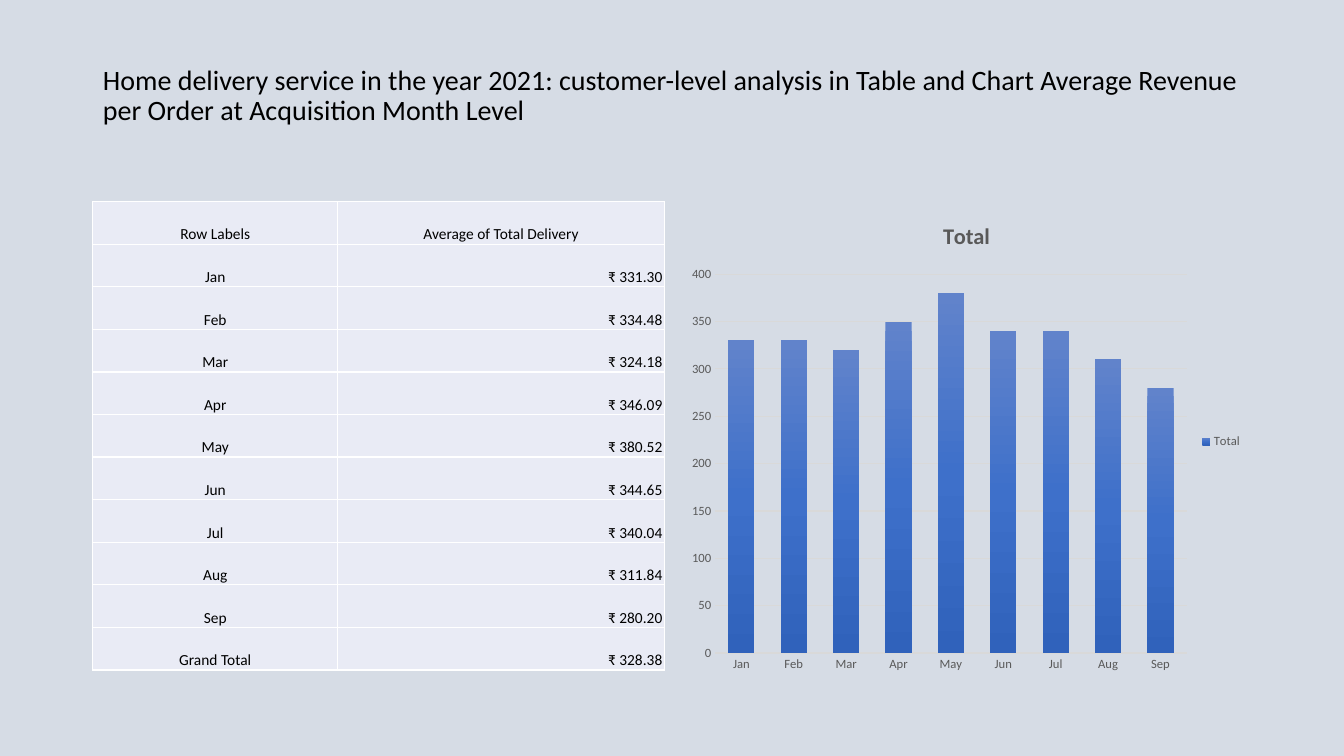
from typing import NamedTuple

from lxml import etree
from pptx import Presentation
from pptx.chart.data import CategoryChartData
from pptx.dml.color import RGBColor
from pptx.enum.chart import XL_CHART_TYPE, XL_LEGEND_POSITION, XL_TICK_MARK
from pptx.enum.text import MSO_ANCHOR, MSO_AUTO_SIZE, PP_ALIGN
from pptx.oxml import parse_xml
from pptx.oxml.ns import nsdecls, qn
from pptx.util import Inches, Pt

LEFT, CENTER, RIGHT = PP_ALIGN.LEFT, PP_ALIGN.CENTER, PP_ALIGN.RIGHT
MIDDLE, BOTTOM = MSO_ANCHOR.MIDDLE, MSO_ANCHOR.BOTTOM
NO_FIT = MSO_AUTO_SIZE.NONE
COLUMN = XL_CHART_TYPE.COLUMN_CLUSTERED
LEGEND_RIGHT = XL_LEGEND_POSITION.RIGHT
NO_TICK = XL_TICK_MARK.NONE

FONT = "Calibri"
BLACK, WHITE, GREY, PALE = "000000", "FFFFFF", "595959", "D9D9D9"
SIDES = ("a:lnL", "a:lnR", "a:lnT", "a:lnB")
BLUES = ((0, "6183CB"), (50, "3E70CA"), (100, "3062BB"))


class Row(NamedTuple):
    label: str
    value: float


MONTHS = [
    Row("Jan", 331.30),
    Row("Feb", 334.48),
    Row("Mar", 324.18),
    Row("Apr", 346.09),
    Row("May", 380.52),
    Row("Jun", 344.65),
    Row("Jul", 340.04),
    Row("Aug", 311.84),
    Row("Sep", 280.20),
]
TOTAL = Row("Grand Total", 328.38)


def color(code: str) -> RGBColor:
    return RGBColor.from_string(code)


def style(font, size: float, code: str, bold: bool = False) -> None:
    font.name = FONT
    font.size = Pt(size)
    font.bold = bold
    font.color.rgb = color(code)


def write(frame, text: str, *, size: float, code: str = BLACK,
          align=LEFT, bold: bool = False, space: float = 1.0) -> None:
    frame.text = text
    para = frame.paragraphs[0]
    para.alignment = align
    para.line_spacing = space
    style(para.runs[0].font, size, code, bold)


def add_title(slide) -> None:
    title = slide.shapes.title
    title.left, title.top = Inches(0.92), Inches(0.4)
    title.width, title.height = Inches(11.5), Inches(1.45)
    frame = title.text_frame
    frame.auto_size = NO_FIT
    frame.word_wrap = True
    frame.vertical_anchor = MIDDLE
    frame.margin_bottom = Inches(0.39)
    write(frame, "Home delivery service in the year 2021: customer-level "
          "analysis in Table and Chart Average Revenue per Order at "
          "Acquisition Month Level", size=20, space=0.9)


def fill_cell(cell, text: str, align) -> None:
    cell.margin_left = cell.margin_right = Inches(0.02)
    cell.margin_top, cell.margin_bottom = Inches(0.01), 0
    cell.vertical_anchor = BOTTOM
    write(cell.text_frame, text, size=11, align=align)
    props = cell._tc.get_or_add_tcPr()
    for side in SIDES:
        line = etree.SubElement(props, qn(side), w=str(Pt(1)))
        paint = etree.SubElement(line, qn("a:solidFill"))
        etree.SubElement(paint, qn("a:srgbClr"), val=WHITE)
    cell.fill.solid()
    cell.fill.fore_color.rgb = color("E9EBF5")


def add_grid(slide) -> None:
    rows = [*MONTHS, TOTAL]
    table = slide.shapes.add_table(
        len(rows) + 1, 2, Inches(0.92), Inches(2), Inches(5.67),
        Inches(4.65)).table
    table.first_row = table.horz_banding = False
    for col, width in zip(table.columns, (2.43, 3.24)):
        col.width = Inches(width)
    fill_cell(table.cell(0, 0), "Row Labels", CENTER)
    fill_cell(table.cell(0, 1), "Average of Total Delivery", CENTER)
    for i, row in enumerate(rows, 1):
        fill_cell(table.cell(i, 0), row.label, CENTER)
        fill_cell(table.cell(i, 1), f"₹ {row.value:.2f}", RIGHT)


def shade(series) -> None:
    stops = "".join(
        f'<a:gs pos="{pos * 1000}"><a:srgbClr val="{code}"/></a:gs>'
        for pos, code in BLUES)
    props = series._element.get_or_add_spPr()
    props.insert(0, parse_xml(
        f'<a:gradFill {nsdecls("a")} rotWithShape="1">'
        f'<a:gsLst>{stops}</a:gsLst>'
        f'<a:lin ang="5400000" scaled="0"/></a:gradFill>'))


def add_bars(slide) -> None:
    data = CategoryChartData()
    data.categories = [row.label for row in MONTHS]
    data.add_series("Total", [round(row.value, -1) for row in MONTHS])
    chart = slide.shapes.add_chart(
        COLUMN, Inches(6.75), Inches(2), Inches(5.67), Inches(4.76),
        data).chart
    style(chart.font, 10, BLACK)

    chart.has_title = True
    write(chart.chart_title.text_frame, "Total", size=16, code=GREY,
          align=CENTER, bold=True)
    chart.chart_title.include_in_layout = False
    chart.has_legend = True
    chart.legend.position = LEGEND_RIGHT
    chart.legend.include_in_layout = False
    style(chart.legend.font, 9, GREY)

    plot = chart.plots[0]
    plot.gap_width, plot.overlap = 100, -24
    plot.vary_by_categories = False
    shade(plot.series[0])

    months, scale = chart.category_axis, chart.value_axis
    for axis in (months, scale):
        axis.major_tick_mark = axis.minor_tick_mark = NO_TICK
        style(axis.tick_labels.font, 9, GREY)
    months.format.line.width = Pt(1)
    months.format.line.color.rgb = color(PALE)
    scale.minimum_scale, scale.maximum_scale = 0, 400
    scale.major_unit = 50
    scale.tick_labels.number_format = "0"
    scale.tick_labels.number_format_is_linked = False
    scale.format.line.fill.background()
    rule = scale.major_gridlines.format.line
    rule.width = Pt(0.75)
    rule.color.rgb = color(PALE)


def main() -> None:
    deck = Presentation()
    deck.slide_width, deck.slide_height = Inches(13.33), Inches(7.5)
    slide = deck.slides.add_slide(deck.slide_layouts[5])
    slide.background.fill.solid()
    slide.background.fill.fore_color.rgb = color("D6DCE5")
    add_title(slide)
    add_grid(slide)
    add_bars(slide)
    deck.save("out.pptx")


if __name__ == "__main__":
    main()
